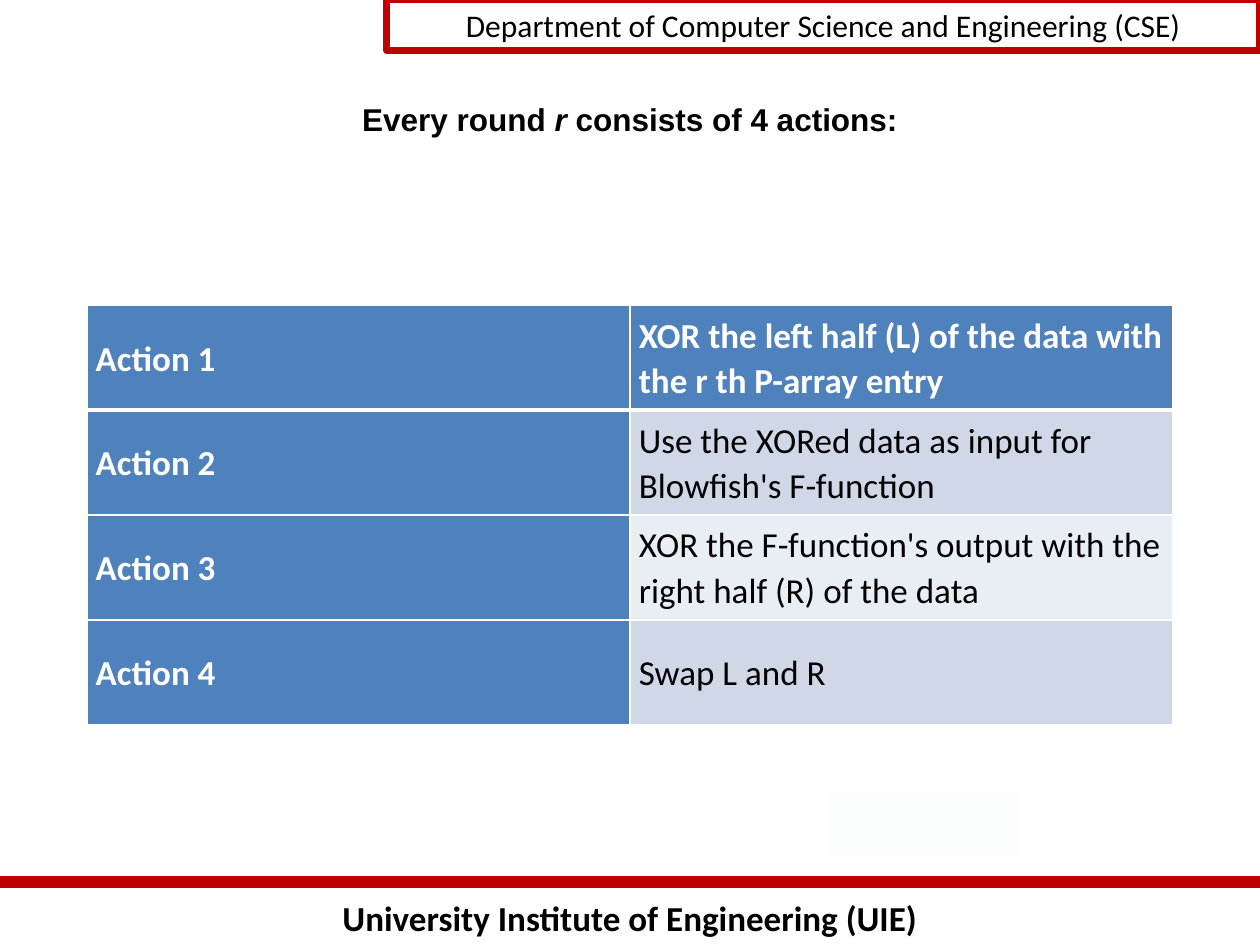
from typing import NamedTuple

from lxml.etree import SubElement
from pptx import Presentation
from pptx.dml.color import RGBColor
from pptx.enum.shapes import MSO_CONNECTOR, MSO_SHAPE
from pptx.enum.text import MSO_ANCHOR, PP_ALIGN
from pptx.oxml.ns import qn
from pptx.util import Cm, Pt

RED = RGBColor(0xC0, 0x00, 0x00)
BLUE = RGBColor(0x4F, 0x81, 0xBD)
PALE = RGBColor(0xD0, 0xD8, 0xE8)
LIGHT = RGBColor(0xE9, 0xED, 0xF4)
MIST = RGBColor(0xFC, 0xFE, 0xFE)
WHITE = RGBColor(0xFF, 0xFF, 0xFF)
BLACK = RGBColor(0x00, 0x00, 0x00)


class Box(NamedTuple):
    left: float
    top: float
    width: float
    height: float

    def place(self) -> list:
        return [Cm(side) for side in self]


class Step(NamedTuple):
    name: str
    task: str
    fill: RGBColor


STEPS = [
    Step("Action 1", "XOR the left half (L) of the data with the r th P-array entry", BLUE),
    Step("Action 2", "Use the XORed data as input for Blowfish's F-function", PALE),
    Step("Action 3", "XOR the F-function's output with the right half (R) of the data", LIGHT),
    Step("Action 4", "Swap L and R", PALE),
]


def style(para, size: int, color: RGBColor, bold: bool = False, face: str = "Calibri") -> None:
    font = para.font
    font.name, font.size, font.bold = face, Pt(size), bold
    font.color.rgb = color


def add_text(slide, box: Box, parts: list, size: int, bold: bool, face: str = "Calibri") -> None:
    """Centred line of text; every second part is italic."""
    frame = slide.shapes.add_textbox(*box.place()).text_frame
    frame.word_wrap = True
    frame.vertical_anchor = MSO_ANCHOR.MIDDLE
    para = frame.paragraphs[0]
    para.alignment = PP_ALIGN.CENTER
    style(para, size, BLACK, bold, face)
    for spot, part in enumerate(parts):
        run = para.add_run()
        run.text = part
        if spot % 2:
            run.font.italic = True


def add_rect(slide, box: Box, fill: RGBColor):
    rect = slide.shapes.add_shape(MSO_SHAPE.RECTANGLE, *box.place())
    rect.shadow.inherit = False
    rect.fill.solid()
    rect.fill.fore_color.rgb = fill
    rect.line.fill.background()
    return rect


def add_edge(cell, side: str, width: float) -> None:
    edge = SubElement(cell._tc.get_or_add_tcPr(), qn(f"a:{side}"), w=str(Pt(width)))
    fill = SubElement(edge, qn("a:solidFill"))
    SubElement(fill, qn("a:srgbClr"), val=str(WHITE))


def fill_cell(cell, text: str, fill: RGBColor, row: int) -> None:
    cell.text = text
    cell.vertical_anchor = MSO_ANCHOR.MIDDLE
    cell.margin_left = cell.margin_right = Cm(0.18)
    cell.margin_top = cell.margin_bottom = Cm(0.08)
    para = cell.text_frame.paragraphs[0]
    para.line_spacing = 1.07
    dark = fill == BLUE
    style(para, 20, WHITE if dark else BLACK, dark)
    # Borders come before the fill; the rule under the first row is thick
    widths = {"lnL": 1, "lnR": 1, "lnT": 3 if row == 1 else 1, "lnB": 3 if row == 0 else 1}
    for side, width in widths.items():
        add_edge(cell, side, width)
    cell.fill.solid()
    cell.fill.fore_color.rgb = fill


def add_steps(slide, box: Box) -> None:
    table = slide.shapes.add_table(len(STEPS), 2, *box.place()).table
    for col in table.columns:
        col.width = Cm(box.width / 2)
    for row, step in enumerate(STEPS):
        table.rows[row].height = Cm(box.height / len(STEPS))
        fill_cell(table.cell(row, 0), step.name, BLUE, row)
        fill_cell(table.cell(row, 1), step.task, step.fill, row)


def main() -> None:
    deck = Presentation()
    deck.slide_width, deck.slide_height = Cm(25.4), Cm(19.05)
    slide = deck.slides.add_slide(deck.slide_layouts[6])

    # Footer with its red rule
    add_text(slide, Box(0, 17.93, 25.4, 1.12), ["University Institute of Engineering (UIE)"], 20, True)
    rule = slide.shapes.add_connector(MSO_CONNECTOR.STRAIGHT, Cm(0), Cm(17.78), Cm(25.4), Cm(17.78))
    rule.line.color.rgb = RED
    rule.line.width = Pt(7)
    SubElement(rule._element.spPr, qn("a:effectLst"))

    # Department banner
    banner = add_rect(slide, Box(7.8, 0, 17.6, 1.02), WHITE)
    banner.line.color.rgb = RED
    banner.line.width = Pt(4)
    para = banner.text_frame.paragraphs[0]
    para.text = "Department of Computer Science and Engineering (CSE)"
    para.alignment = PP_ALIGN.CENTER
    style(para, 18, BLACK)

    # Heading
    heading = ["Every round ", "r", " consists of 4 actions:"]
    add_text(slide, Box(1.27, 1.27, 22.86, 2.26), heading, 18, True, "Arial")

    # Faint patch and table of actions
    add_rect(slide, Box(16.71, 15.98, 3.84, 1.27), MIST)
    add_steps(slide, Box(1.75, 6.15, 21.9, 8.46))

    deck.save("out.pptx")


if __name__ == "__main__":
    main()
